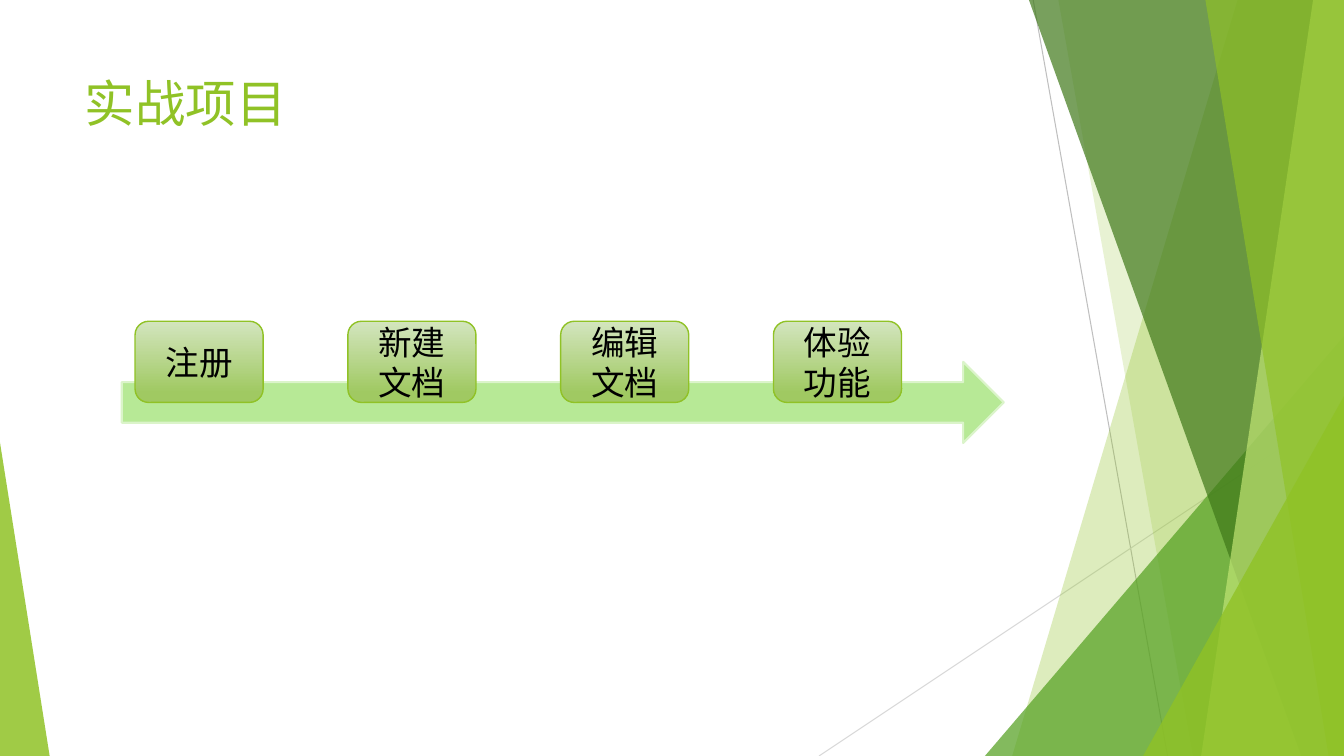
import pptx
import pptx.util
import pptx.dml.color
import pptx.enum.shapes
import pptx.enum.text
import pptx.oxml.ns
from dataclasses import dataclass
from lxml import etree

Pt = pptx.util.Pt
SHAPES = pptx.enum.shapes.MSO_SHAPE
ALIGN = pptx.enum.text.PP_ALIGN
ANCHOR = pptx.enum.text.MSO_ANCHOR
qn = pptx.oxml.ns.qn


@dataclass(frozen=True)
class Theme:
    font: str = "Lato"
    title_size: int = 36
    step_size: int = 24
    lime: str = "90C226"
    green: str = "54A021"
    forest: str = "3F7819"
    pale_lime: str = "C0E474"
    grey: str = "BFBFBF"
    light_grey: str = "D9D9D9"
    arrow: str = "B7E996"
    arrow_edge: str = "DBF4CA"
    step_top: str = "D3E5BE"
    step_bottom: str = "A0C962"
    ink: str = "000000"


THEME = Theme()
WIDTH, HEIGHT = 960, 540
STEPS = ["注册", "新建文档", "编辑文档", "体验功能"]


def rgb(color):
    return pptx.dml.color.RGBColor.from_string(color)


def add_span(para, text, size, color):
    span = para.add_run()
    span.text = text
    span.font.size = Pt(size)
    span.font.color.rgb = rgb(color)
    span.font.name = THEME.font
    properties = span.font._element
    etree.SubElement(properties, qn("a:ea")).set("typeface", THEME.font)


def paint(shape, color, opacity=100):
    shape.shadow.inherit = False
    shape.fill.solid()
    shape.fill.fore_color.rgb = rgb(color)
    shape.line.fill.background()
    if opacity < 100:
        tint = shape._element.spPr.find(".//" + qn("a:srgbClr"))
        etree.SubElement(tint, qn("a:alpha")).set("val", str(opacity * 1000))


def add_line(page, start, end, color):
    line = page.shapes.add_connector(
        pptx.enum.shapes.MSO_CONNECTOR.STRAIGHT, *map(Pt, start + end))
    line.line.color.rgb = rgb(color)
    line.line.width = Pt(0.75)
    etree.SubElement(line._element.spPr, qn("a:effectLst"))


def add_band(page, right, bottom, top_x, bottom_x, color, opacity):
    """Fill from a slanted left edge to the right side of the region."""
    outline = page.shapes.build_freeform(Pt(top_x), Pt(0), scale=1.0)
    corners = [(right, 0), (right, bottom), (bottom_x, bottom)]
    outline.add_line_segments([(Pt(x), Pt(y)) for x, y in corners], close=True)
    paint(outline.convert_to_shape(), color, opacity)


def add_triangle(page, left, top, width, height, apex, color, opacity):
    shape = page.shapes.add_shape(
        SHAPES.ISOSCELES_TRIANGLE, Pt(left), Pt(top), Pt(width), Pt(height))
    shape.adjustments[0] = apex
    paint(shape, color, opacity)


def draw_backdrop(page, left, top, width, height):
    right, bottom = left + width, top + height
    # Thin crossing lines
    add_line(page, (right - 222, top), (right - 126, bottom), THEME.grey)
    add_line(page, (right, top + 290), (right - 375, bottom), THEME.light_grey)

    # Facets on the right, back to front
    def band(top_inset, bottom_inset, color, opacity):
        add_band(page, right, bottom, right - top_inset, right - bottom_inset,
                 color, opacity)

    def corner(wide, tall, color, opacity):
        add_triangle(page, right - wide, bottom - tall, wide, tall, 1,
                     color, opacity)

    band(76, 237, THEME.lime, 30)
    band(204, 108, THEME.lime, 20)
    corner(256.5, 300, THEME.green, 72)
    band(225, 30.5, THEME.forest, 70)
    band(22, 102, THEME.pale_lime, 70)
    band(99, 11, THEME.lime, 65)
    corner(143.5, 257, THEME.lime, 80)
    # Sliver on the left
    add_triangle(page, left, bottom - 224, 35.5, 224, 0, THEME.lime, 85)


def fill_title(page, left, top, width, height, text):
    title = page.shapes.title
    title.left, title.top = Pt(left), Pt(top)
    title.width, title.height = Pt(width), Pt(height)
    frame = title.text_frame
    frame.word_wrap = True
    frame.auto_size = pptx.enum.text.MSO_AUTO_SIZE.NONE
    frame.vertical_anchor = ANCHOR.TOP
    para = frame.paragraphs[0]
    para.alignment = ALIGN.LEFT
    add_span(para, text, THEME.title_size, THEME.lime)


def add_step(page, left, top, width, height, text):
    step = page.shapes.add_shape(
        SHAPES.ROUNDED_RECTANGLE, Pt(left), Pt(top), Pt(width), Pt(height))
    step.shadow.inherit = False
    step.fill.gradient()
    step.fill.gradient_angle = 270
    first, last = step.fill.gradient_stops
    first.color.rgb, first.position = rgb(THEME.step_top), 0
    last.color.rgb, last.position = rgb(THEME.step_bottom), 0.88
    step.line.color.rgb = rgb(THEME.lime)
    step.line.width = Pt(1)
    frame = step.text_frame
    frame.word_wrap = True
    frame.vertical_anchor = ANCHOR.MIDDLE
    para = frame.paragraphs[0]
    para.alignment = ALIGN.CENTER
    add_span(para, text, THEME.step_size, THEME.ink)


def draw_process(page, left, top, width, height, steps):
    # Arrow along the bottom of the region
    arrow_height = height * 2 / 3
    arrow = page.shapes.add_shape(
        SHAPES.RIGHT_ARROW, Pt(left), Pt(top + height - arrow_height),
        Pt(width), Pt(arrow_height))
    paint(arrow, THEME.arrow)
    arrow.line.color.rgb = rgb(THEME.arrow_edge)
    arrow.line.width = Pt(1.5)
    # Evenly spaced steps along its shaft
    step_width, pitch, inset = 91.5, 152, 9.5
    for index, text in enumerate(steps):
        add_step(page, left + inset + index * pitch, top,
                 step_width, arrow_height, text)


def main():
    deck = pptx.Presentation()
    deck.slide_width, deck.slide_height = Pt(WIDTH), Pt(HEIGHT)
    page = deck.slides.add_slide(deck.slide_layouts[5])
    page.background.fill.solid()
    page.background.fill.fore_color.rgb = rgb("FFFFFF")
    draw_backdrop(page, 0, 0, WIDTH, HEIGHT)
    fill_title(page, 53.5, 48, 677, 104, "实战项目")
    draw_process(page, 87, 229.5, 630, 87, STEPS)
    deck.save("out.pptx")


if __name__ == "__main__":
    main()
